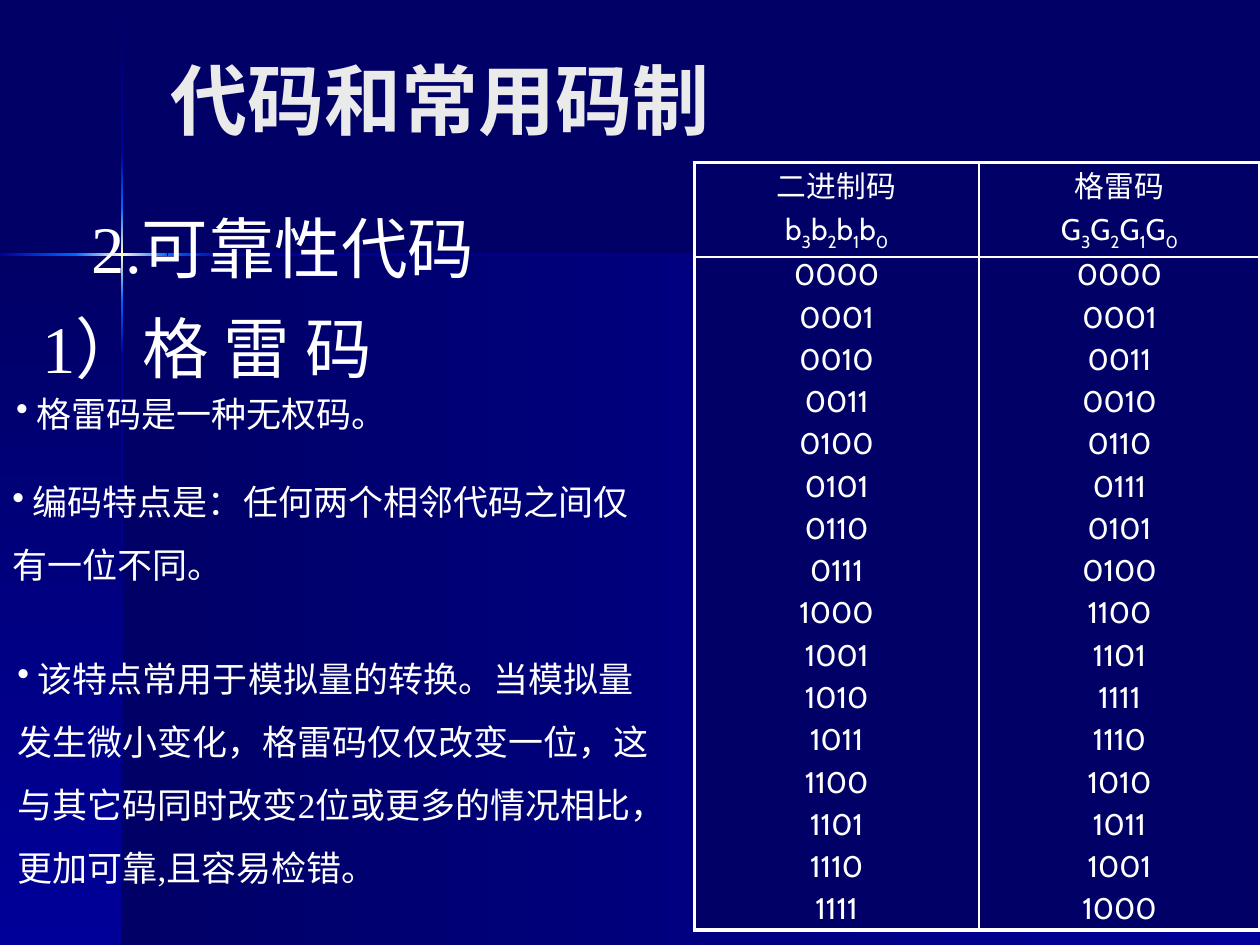
from copy import deepcopy
from dataclasses import dataclass

from lxml import etree
from pptx import Presentation
from pptx.dml.color import RGBColor
from pptx.enum.shapes import MSO_SHAPE
from pptx.enum.text import MSO_ANCHOR, MSO_AUTO_SIZE, PP_ALIGN
from pptx.oxml.ns import qn
from pptx.util import Inches, Pt

RECT = MSO_SHAPE.RECTANGLE
MIDDLE, TOP = MSO_ANCHOR.MIDDLE, MSO_ANCHOR.TOP
LEFT, CENTER = PP_ALIGN.LEFT, PP_ALIGN.CENTER
FIXED = MSO_AUTO_SIZE.NONE


@dataclass(frozen=True)
class Theme:
    navy: str = "000066"
    blue: str = "000099"
    bright: str = "0066FF"
    glow: str = "FFFFCC"
    white: str = "FFFFFF"
    pale: str = "EAEAEA"
    serif: str = "Times New Roman"
    sans: str = "Cabin"
    title: int = 44
    head: int = 38
    body: int = 20
    cell: int = 17


theme = Theme()


def add_run(para, text, size, face=theme.serif, color=theme.white):
    run = para.add_run()
    run.text = text
    run.font.size = Pt(size)
    run.font.name = face
    run.font.color.rgb = RGBColor.from_string(color)
    return run


def add_box(left, top, width, height, anchor):
    """Add an empty text box and return its text frame."""
    box = slide.shapes.add_textbox(
        Inches(left), Inches(top), Inches(width), Inches(height))
    frame = box.text_frame
    frame.word_wrap = True
    frame.vertical_anchor = anchor
    return frame


deck = Presentation()
deck.slide_width, deck.slide_height = Inches(10), Inches(7.5)
slide = deck.slides.add_slide(deck.slide_layouts[5])
back = slide.background.fill
back.solid()
back.fore_color.rgb = RGBColor.from_string(theme.navy)

# Backdrop: two panels and a glowing cross; angles run counter-clockwise
ACROSS, DOWN = 0, 270
rise = (theme.navy, theme.blue)
fall = (theme.blue, theme.navy)
light = (theme.blue, theme.bright)
dim = (theme.bright, theme.blue)
flare = (theme.bright, theme.glow, theme.bright)
bands = [
    (0.97, 2.02, 9.03, 5.48, rise, ACROSS),
    (0, 2.02, 0.97, 5.48, rise, DOWN),
    (0.96, 0.01, 0.02, 1.2, rise, DOWN),
    (0.96, 2.82, 0.02, 4.68, fall, DOWN),
    (1.77, 2.01, 8.23, 0.02, fall, ACROSS),
    (0.96, 2.38, 0.02, 0.44, dim, DOWN),
    (0.96, 1.21, 0.02, 0.44, light, DOWN),
    (0.96, 1.65, 0.02, 0.73, flare, DOWN),
    (0, 2.01, 0.61, 0.02, light, ACROSS),
    (1.33, 2.01, 0.44, 0.02, dim, ACROSS),
    (0.6, 2.01, 0.73, 0.02, flare, ACROSS),
]
for left, top, width, height, colors, angle in bands:
    band = slide.shapes.add_shape(
        RECT, Inches(left), Inches(top), Inches(width), Inches(height))
    band.shadow.inherit = False
    band.line.fill.background()
    band.fill.gradient()
    band.fill.gradient_angle = angle
    stops = band._element.spPr.find(qn("a:gradFill")).find(qn("a:gsLst"))
    while len(stops) < len(colors):
        stops.append(deepcopy(stops[-1]))
    for i, (stop, color) in enumerate(zip(band.fill.gradient_stops, colors)):
        stop.position = i / (len(colors) - 1)
        stop.color.rgb = RGBColor.from_string(color)

# Title and headings
title = slide.shapes.title
title.left, title.top = Inches(1.25), Inches(0)
title.width, title.height = Inches(8.25), Inches(1.57)
frame = title.text_frame
frame.auto_size = FIXED
frame.vertical_anchor = MIDDLE
frame.paragraphs[0].alignment = LEFT
run = add_run(frame.paragraphs[0], "代码和常用码制", theme.title, color=theme.pale)
run.font.bold = True

for left, top, text in [(0.63, 1.64, "2.可靠性代码"), (0.24, 2.43, "1）格 雷 码")]:
    frame = add_box(left, top, 4.95, 0.64, MIDDLE)
    add_run(frame.paragraphs[0], text, theme.head)

# Bulleted notes
notes = [
    (0.03, 2.9, 5.15, 0.55, " 格雷码是一种无权码。"),
    (0, 3.6, 5.15, 1.05, " 编码特点是：任何两个相邻代码之间仅有一位不同。"),
    (0.04, 5, 5.34, 2.12,
     " 该特点常用于模拟量的转换。当模拟量发生微小变化，格雷码仅仅改变一位，"
     "这与其它码同时改变2位或更多的情况相比，更加可靠,且容易检错。"),
]
for left, top, width, height, text in notes:
    para = add_box(left, top, width, height, TOP).paragraphs[0]
    para.line_spacing = 1.5
    para.space_before = Pt(theme.body * 0.5)
    mark = etree.SubElement(para._p.get_or_add_pPr(), qn("a:buChar"))
    mark.set("char", "•")
    add_run(para, text, theme.body)

# Code table: one heading row and one row holding all sixteen codes
codes = range(16)
columns = [
    ("二进制码", "b", [f"{n:04b}" for n in codes]),
    ("格雷码", "G", [f"{n ^ n >> 1:04b}" for n in codes]),
]
table = slide.shapes.add_table(
    2, 2, Inches(5.51), Inches(1.29), Inches(4.49), Inches(6.09)).table
table.first_row = table.horz_banding = False
for col, width in zip(table.columns, (2.26, 2.23)):
    col.width = Inches(width)
for row, height in zip(table.rows, (0.75, 5.34)):
    row.height = Inches(height)

for c, (name, sign, values) in enumerate(columns):
    bits = [part for digit in "3210" for part in (sign, digit)]
    for r, lines in enumerate([[[name], bits], [[v] for v in values]]):
        cell = table.cell(r, c)
        cell.margin_top = cell.margin_bottom = 0
        outer = {"L": c == 0, "R": c == 1, "T": r == 0, "B": r == 1}
        for side, edge in outer.items():
            line = etree.SubElement(
                cell._tc.get_or_add_tcPr(), qn(f"a:ln{side}"),
                w=str(Pt(2.25 if edge else 1)))
            fill = etree.SubElement(line, qn("a:solidFill"))
            etree.SubElement(fill, qn("a:srgbClr"), val=theme.white)
        cell.fill.solid()
        cell.fill.fore_color.rgb = RGBColor.from_string(theme.navy)
        frame = cell.text_frame
        for i, parts in enumerate(lines):
            para = frame.add_paragraph() if i else frame.paragraphs[0]
            para.alignment = CENTER
            para.space_before = Pt(theme.cell * 0.2)
            for k, part in enumerate(parts):
                run = add_run(para, part, theme.cell, theme.sans)
                if k % 2:
                    run.font._element.set("baseline", "-25000")

deck.save("out.pptx")
